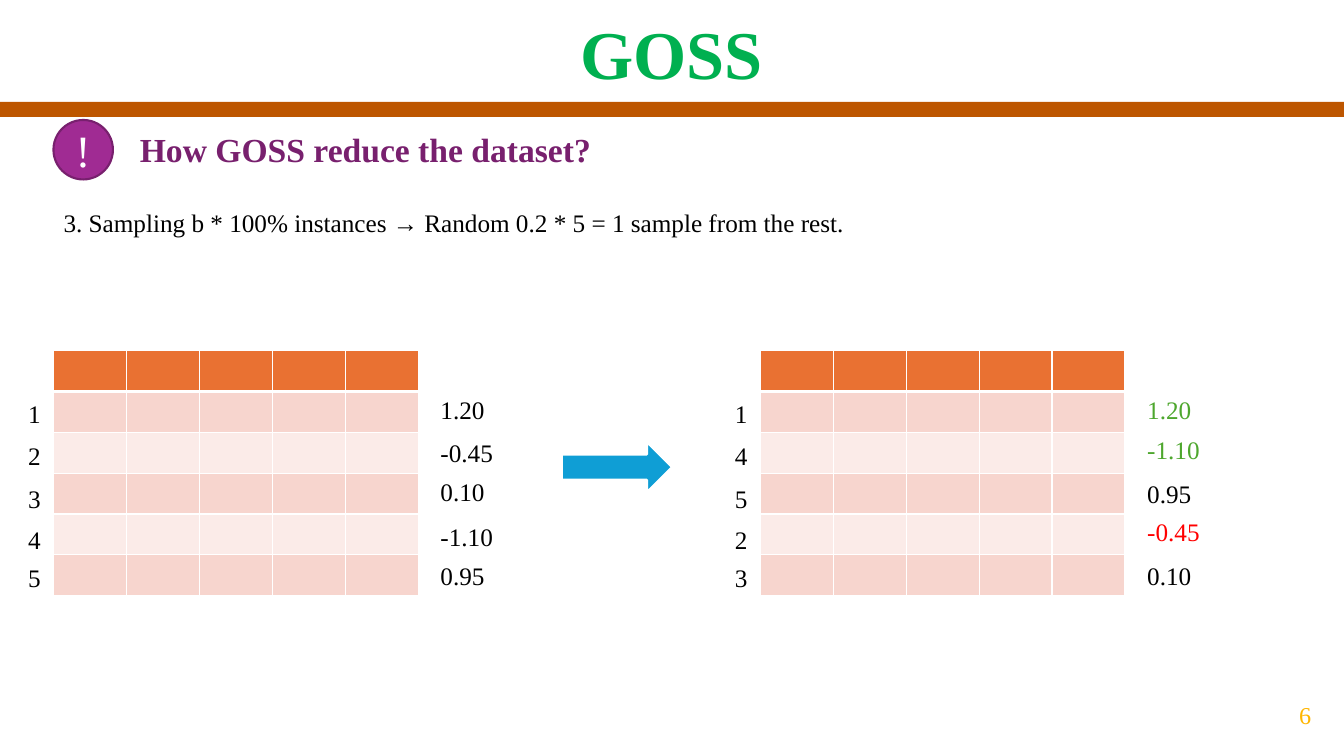
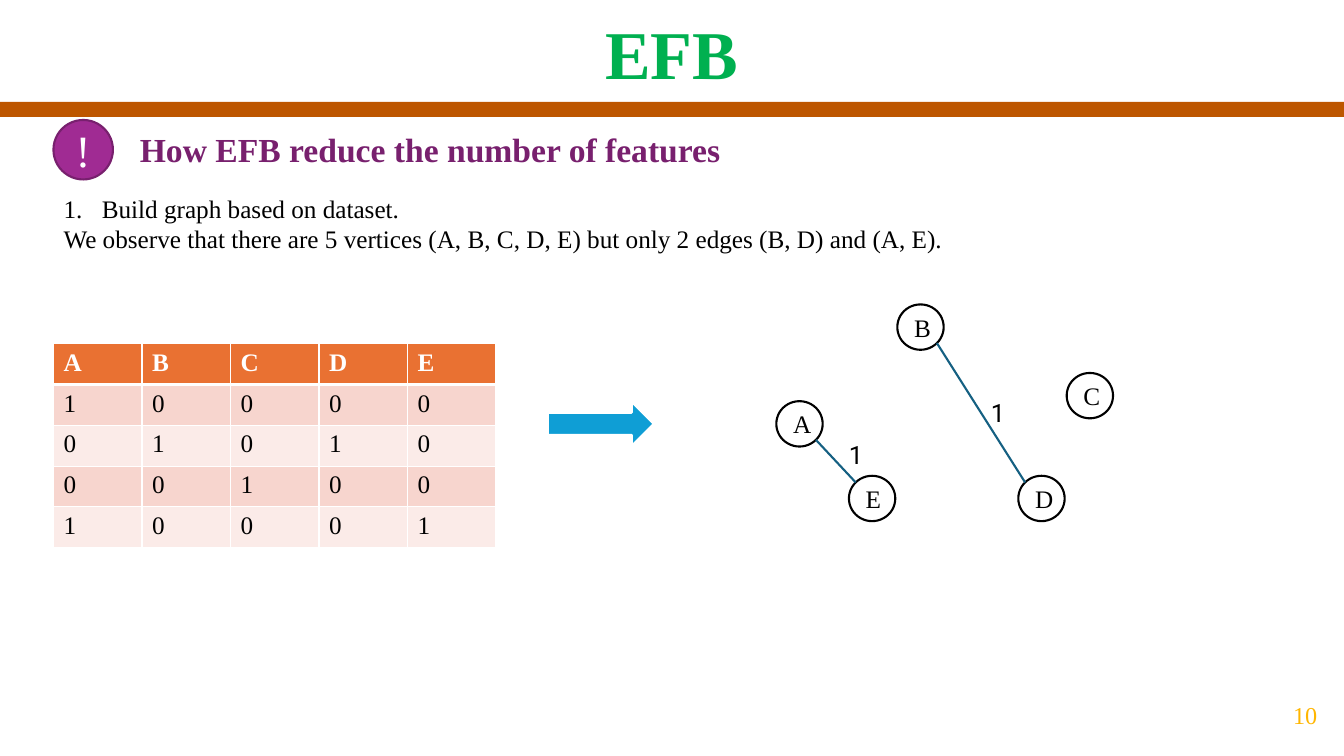
from math import sqrt

from lxml.etree import SubElement
from pptx import Presentation
from pptx.dml.color import RGBColor
from pptx.enum.shapes import MSO_CONNECTOR, MSO_SHAPE
from pptx.enum.text import MSO_ANCHOR, MSO_AUTO_SIZE, PP_ALIGN
from pptx.oxml import parse_xml
from pptx.oxml.ns import nsdecls, qn
from pptx.util import Inches, Pt

SERIF = "Times New Roman"
SANS = "Roboto"
BLACK = RGBColor(0x00, 0x00, 0x00)
WHITE = RGBColor(0xFF, 0xFF, 0xFF)
GREEN_TITLE = RGBColor(0x00, 0xB0, 0x50)
BROWN = RGBColor(0xBD, 0x56, 0x00)
PLUM = RGBColor(0x78, 0x20, 0x6E)
PURPLE = RGBColor(0xA0, 0x2B, 0x93)
AMBER = RGBColor(0xFF, 0xB6, 0x00)
ORANGE = RGBColor(0xE9, 0x71, 0x32)
ROSE = RGBColor(0xF7, 0xD5, 0xCE)
PALE_ROSE = RGBColor(0xFB, 0xEB, 0xE8)
BLUE = RGBColor(0x0F, 0x9E, 0xD5)
TEAL = RGBColor(0x15, 0x60, 0x82)
GREEN = RGBColor(0x4E, 0xA7, 0x2E)
RED = RGBColor(0xFF, 0x00, 0x00)

SLIDE_WIDTH = 13.33
ROW_HEIGHT = 0.405
NODE_WIDTH, NODE_HEIGHT = 0.46, 0.45


def add_run(paragraph, text, size=18, color=BLACK, bold=False, font=SERIF):
    """Append one formatted run to a paragraph."""
    run = paragraph.add_run()
    run.text = text
    run.font.name = font
    run.font.size = Pt(size)
    run.font.bold = bold
    run.font.color.rgb = color


def place(shape, left, top, width, height):
    """Move and size a shape, in inches."""
    shape.left, shape.top = Inches(left), Inches(top)
    shape.width, shape.height = Inches(width), Inches(height)


def add_figure(slide, kind, box, fill, line=None, line_width=1.5):
    """Add a flat preset shape with middle-anchored text."""
    shape = slide.shapes.add_shape(kind, *map(Inches, box))
    shape.shadow.inherit = False
    shape.fill.solid()
    shape.fill.fore_color.rgb = fill
    if line is None:
        shape.line.fill.background()
    else:
        shape.line.color.rgb = line
        shape.line.width = Pt(line_width)
    shape.text_frame.vertical_anchor = MSO_ANCHOR.MIDDLE
    return shape


def add_label(slide, box, text, **style):
    """Add a one-line text box and return its text frame."""
    frame = slide.shapes.add_textbox(*map(Inches, box)).text_frame
    frame.word_wrap = True
    add_run(frame.paragraphs[0], text, **style)
    return frame


def format_list_item(paragraph, numbered):
    """Make a body paragraph plain or numbered."""
    paragraph.space_before = Pt(0)
    properties = paragraph._p.get_or_add_pPr()
    indent = Inches(0.38) if numbered else 0
    properties.set("marL", str(indent))
    properties.set("indent", str(-indent))
    if numbered:
        SubElement(properties, qn("a:buFont"), typeface=SERIF)
        SubElement(properties, qn("a:buAutoNum"), type="arabicPeriod")
    else:
        SubElement(properties, qn("a:buNone"))


def add_topic_slide(presentation, title, question, number, body_box, items):
    """Add a slide with title, band, question, page number and body list."""
    slide = presentation.slides.add_slide(presentation.slide_layouts[1])
    add_figure(slide, MSO_SHAPE.RECTANGLE, (0, 1.01, SLIDE_WIDTH, 0.15), BROWN)

    heading, body = slide.placeholders
    for placeholder, box in ((heading, (0, 0.06, SLIDE_WIDTH, 0.95)), (body, body_box)):
        place(placeholder, *box)
        placeholder.text_frame.auto_size = MSO_AUTO_SIZE.NONE
        placeholder.text_frame.vertical_anchor = MSO_ANCHOR.TOP
    paragraph = heading.text_frame.paragraphs[0]
    paragraph.alignment = PP_ALIGN.CENTER
    add_run(paragraph, title, 48.8, GREEN_TITLE, True)

    for index, (text, numbered) in enumerate(items):
        frame = body.text_frame
        paragraph = frame.add_paragraph() if index else frame.paragraphs[0]
        format_list_item(paragraph, numbered)
        add_run(paragraph, text)

    banner = add_figure(slide, MSO_SHAPE.ROUNDED_RECTANGLE, (1.26, 1.18, 11.53, 0.6), WHITE)
    paragraph = banner.text_frame.paragraphs[0]
    paragraph.alignment = PP_ALIGN.LEFT
    add_run(paragraph, question, 24, PLUM, True)

    badge = add_figure(slide, MSO_SHAPE.OVAL, (0.53, 1.19, 0.59, 0.59), PURPLE, PLUM)
    paragraph = badge.text_frame.paragraphs[0]
    paragraph.alignment = PP_ALIGN.CENTER
    add_run(paragraph, "!", 32, WHITE)

    frame = add_label(slide, (12.55, 6.69, 0.79, 0.81), number, size=17.3, color=AMBER)
    frame.vertical_anchor = MSO_ANCHOR.MIDDLE
    frame.margin_top = frame.margin_bottom = Inches(0.1)
    frame.paragraphs[0].alignment = PP_ALIGN.CENTER
    return slide


def set_cell_borders(cell, top, bottom):
    """Give a cell white borders, 1 point at the sides."""
    properties = cell._tc.get_or_add_tcPr()
    widths = (("lnL", 1), ("lnR", 1), ("lnT", top), ("lnB", bottom))
    for position, (tag, width) in enumerate(widths):
        border = parse_xml(
            f'<a:{tag} {nsdecls("a")} w="{Pt(width)}"><a:solidFill>'
            f'<a:srgbClr val="{WHITE}"/></a:solidFill></a:{tag}>'
        )
        properties.insert(position, border)


def add_data_table(slide, left, top, width, rows):
    """Add a banded table with an orange header row."""
    height = ROW_HEIGHT * len(rows)
    frame = slide.shapes.add_table(
        len(rows), len(rows[0]), *map(Inches, (left, top, width, height))
    )
    table = frame.table
    for column in table.columns:
        column.width = Inches(width / len(rows[0]))
    for row_index, values in enumerate(rows):
        table.rows[row_index].height = Inches(ROW_HEIGHT)
        header = row_index == 0
        fill = ORANGE if header else (PALE_ROSE, ROSE)[row_index % 2]
        for column_index, value in enumerate(values):
            cell = table.cell(row_index, column_index)
            cell.fill.solid()
            cell.fill.fore_color.rgb = fill
            set_cell_borders(cell, 3 if row_index == 1 else 1, 3 if header else 1)
            if value:
                color = WHITE if header else BLACK
                add_run(cell.text_frame.paragraphs[0], value, color=color, bold=header)


def add_sample_table(slide, left, top, samples):
    """Add an empty table with row numbers at left and gradients at right."""
    width = 3.62
    add_data_table(slide, left, top, width, [[""] * 5] * 6)
    number_offsets = (0.42, 0.84, 1.27, 1.67, 2.05)
    for offset, (number, gradient, gradient_offset, color) in zip(number_offsets, samples):
        add_label(slide, (left - 0.35, top + offset, 0.34, 0.4), number)
        gradient_box = (left + width + 0.12, top + gradient_offset, 0.75, 0.4)
        add_label(slide, gradient_box, gradient, color=color)


def add_arrow(slide, box):
    """Add the blue arrow between two stages."""
    add_figure(slide, MSO_SHAPE.RIGHT_ARROW, box, BLUE, WHITE, 2)


def add_graph(slide, left, top):
    """Add the conflict graph: five vertices and two weighted edges."""
    nodes = {"A": (0, 0.96), "B": (1.2, 0), "C": (2.88, 0.68), "D": (2.4, 1.7), "E": (0.72, 1.7)}
    for name, (x, y) in nodes.items():
        box = (left + x, top + y, NODE_WIDTH, NODE_HEIGHT)
        node = add_figure(slide, MSO_SHAPE.OVAL, box, WHITE, BLACK)
        paragraph = node.text_frame.paragraphs[0]
        paragraph.alignment = PP_ALIGN.CENTER
        add_run(paragraph, name)

    near = (1 - sqrt(0.5)) / 2
    far = 1 - near
    for start, end, weight_x, weight_y in (("A", "E", 0.62, 1.29), ("B", "D", 2.03, 0.87)):
        points = [
            (left + nodes[name][0] + NODE_WIDTH * share, top + nodes[name][1] + NODE_HEIGHT * share)
            for name, share in ((start, far), (end, near))
        ]
        edge = slide.shapes.add_connector(
            MSO_CONNECTOR.STRAIGHT, *map(Inches, points[0] + points[1])
        )
        edge.line.color.rgb = TEAL
        edge.line.width = Pt(1.5)
        SubElement(edge._element.spPr, qn("a:effectLst"))
        add_label(slide, (left + weight_x, top + weight_y, 0.34, 0.4), "1", font=SANS)


def build_goss_slide(presentation):
    """Build the slide on sampling instances by gradient."""
    text = "3. Sampling b * 100% instances → Random 0.2 * 5 = 1 sample from the rest."
    slide = add_topic_slide(
        presentation, "GOSS", "How GOSS reduce the dataset?", "6",
        (0.53, 2.01, 12.66, 0.4), [(text, False)],
    )
    add_sample_table(slide, 0.53, 3.48, [
        ("1", "1.20", 0.38, BLACK),
        ("2", "-0.45", 0.81, BLACK),
        ("3", "0.10", 1.2, BLACK),
        ("4", "-1.10", 1.64, BLACK),
        ("5", "0.95", 2.03, BLACK),
    ])
    add_arrow(slide, (5.57, 4.38, 1.1, 0.51))
    add_sample_table(slide, 7.54, 3.48, [
        ("1", "1.20", 0.38, GREEN),
        ("4", "-1.10", 0.78, GREEN),
        ("5", "0.95", 1.22, BLACK),
        ("2", "-0.45", 1.59, RED),
        ("3", "0.10", 2.03, BLACK),
    ])


def build_efb_slide(presentation):
    """Build the slide on turning features into a graph."""
    observation = (
        "We observe that there are 5 vertices (A, B, C, D, E) "
        "but only 2 edges (B, D) and (A, E)."
    )
    slide = add_topic_slide(
        presentation, "EFB", "How EFB reduce the number of features", "10",
        (0.53, 1.87, 12.8, 0.71),
        [("Build graph based on dataset.", True), (observation, False)],
    )
    add_data_table(slide, 0.53, 3.41, 4.39, ["ABCDE", "10000", "01010", "00100", "10001"])
    add_arrow(slide, (5.43, 3.98, 1.06, 0.45))
    add_graph(slide, 7.7, 3.02)


def main():
    """Build and save the presentation."""
    presentation = Presentation()
    presentation.slide_width = Inches(SLIDE_WIDTH)
    presentation.slide_height = Inches(7.5)
    build_goss_slide(presentation)
    build_efb_slide(presentation)
    presentation.save("out.pptx")


if __name__ == "__main__":
    main()
